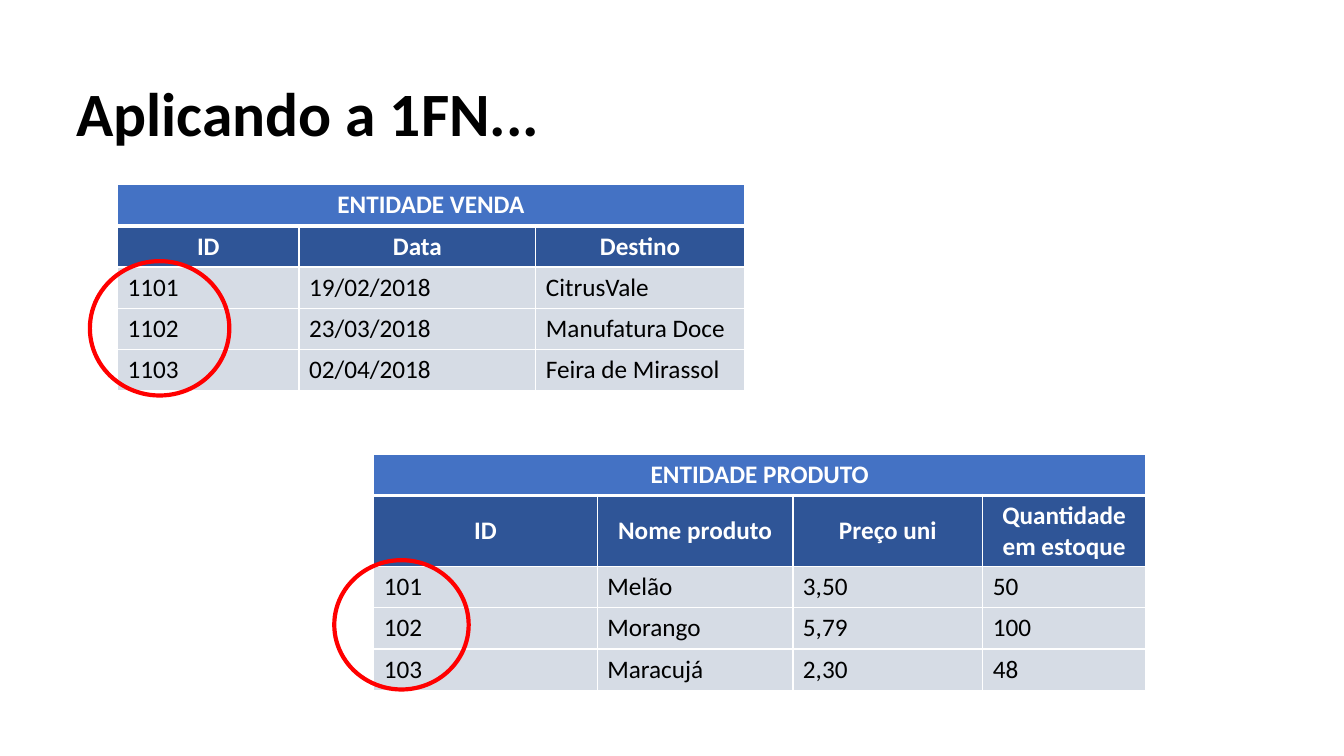
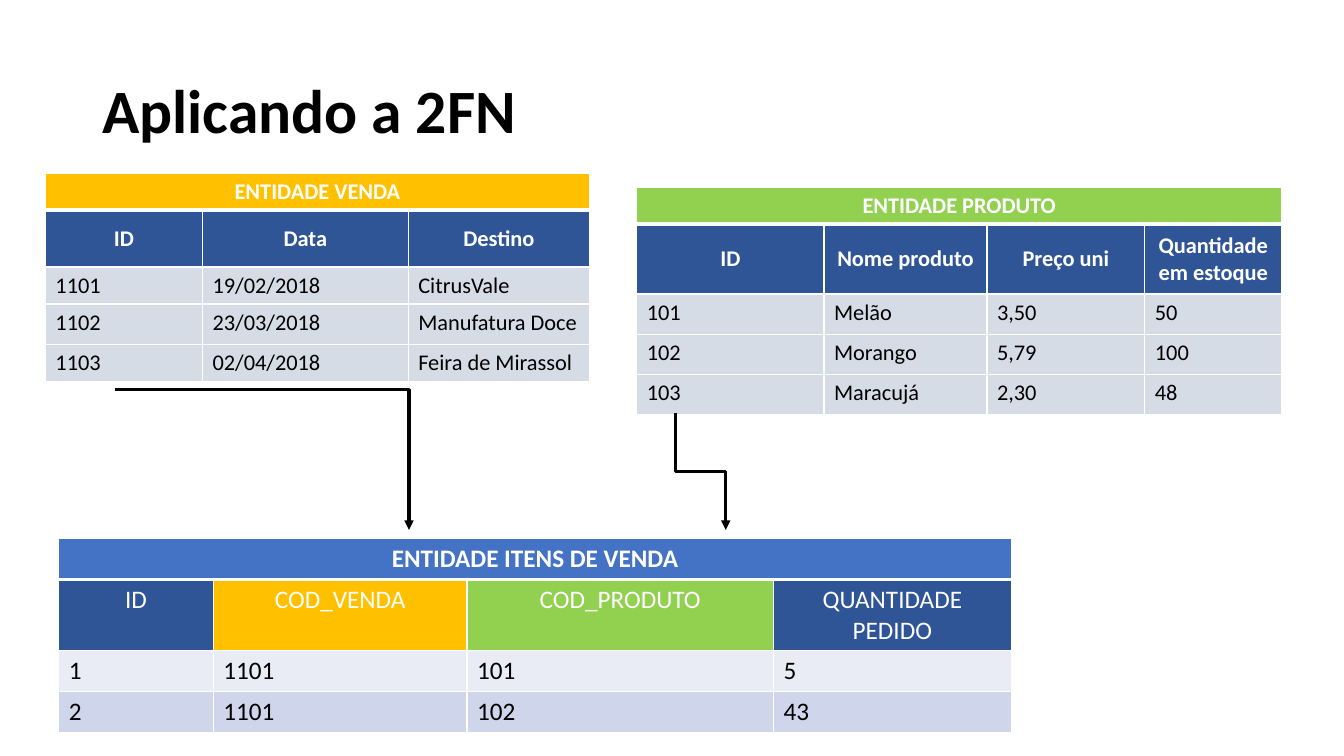
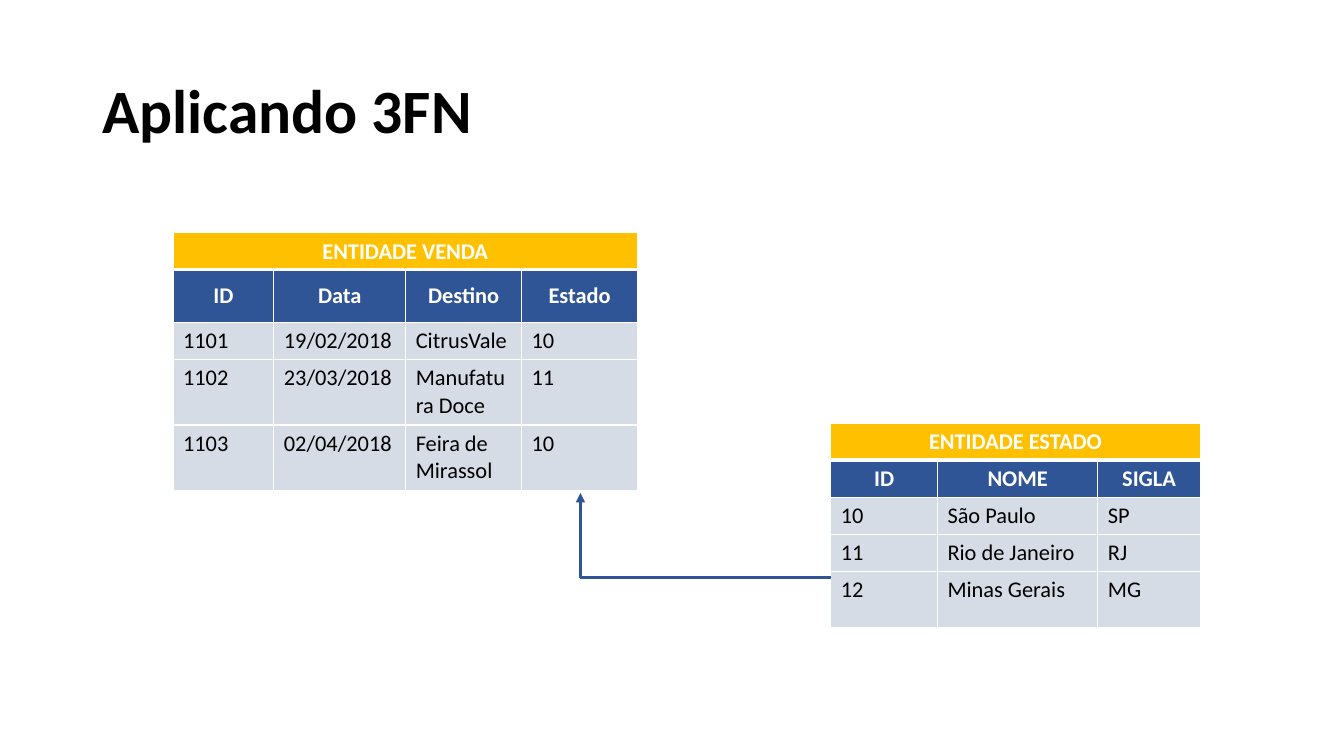
from lxml.etree import SubElement
from pptx import Presentation
from pptx.dml.color import RGBColor
from pptx.enum.shapes import MSO_CONNECTOR, MSO_SHAPE
from pptx.enum.text import MSO_ANCHOR, PP_ALIGN
from pptx.oxml.ns import qn
from pptx.util import Inches, Pt

SLIDE_WIDTH, SLIDE_HEIGHT = Inches(13.33), Inches(7.5)
GRID_COLUMNS = 16
UNIT = SLIDE_WIDTH / GRID_COLUMNS  # square grid: 16 columns by 9 rows
FONT = "Calibri"
COLORS = {
    "black": "000000",
    "white": "FFFFFF",
    "red": "FF0000",
    "blue": "4472C4",
    "navy": "2F5597",
    "yellow": "FFC000",
    "green": "92D050",
    "gray": "D6DCE5",
    "pale": "E9EBF5",
    "lavender": "CFD5EA",
}

SALE_HEADS = ["ID", "Data", "Destino"]
SALES = [
    ["1101", "19/02/2018", "CitrusVale"],
    ["1102", "23/03/2018", "Manufatura Doce"],
    ["1103", "02/04/2018", "Feira de Mirassol"],
]
SALE_STATES = ["10", "11", "10"]
PRODUCT_HEADS = ["ID", "Nome produto", "Preço uni", "Quantidade em estoque"]
PRODUCTS = [
    ["101", "Melão", "3,50", "50"],
    ["102", "Morango", "5,79", "100"],
    ["103", "Maracujá", "2,30", "48"],
]
ITEM_HEADS = ["ID", "COD_VENDA", "COD_PRODUTO", "QUANTIDADE PEDIDO"]
ITEMS = [["1", "1101", "101", "5"], ["2", "1101", "102", "43"]]
STATE_HEADS = ["ID", "NOME", "SIGLA"]
STATES = [
    ["10", "São Paulo", "SP"],
    ["11", "Rio de Janeiro", "RJ"],
    ["12", "Minas Gerais", "MG"],
]


def grid(*values):
    """Turn grid units into lengths."""
    return [round(value * UNIT) for value in values]


def rgb(name):
    """Look up a named colour."""
    return RGBColor.from_string(COLORS[name])


def style_text(paragraph, size, color, bold):
    """Format every run of a paragraph."""
    for run in paragraph.runs:
        run.font.name = FONT
        run.font.size = Pt(size)
        run.font.bold = bold
        run.font.color.rgb = rgb(color)


def add_titled_slide(presentation, title, left=1.1, top=0.48):
    """Add a blank slide with its title."""
    slide = presentation.slides.add_slide(presentation.slide_layouts[6])
    text_frame = slide.shapes.add_textbox(*grid(left, top, 13.8, 1.74)).text_frame
    text_frame.word_wrap = True
    text_frame.vertical_anchor = MSO_ANCHOR.MIDDLE
    text_frame.text = title
    paragraph = text_frame.paragraphs[0]
    paragraph.line_spacing = 0.9
    style_text(paragraph, 44, "black", True)
    return slide


def set_borders(cell, top, bottom):
    """Give a cell white borders, with top and bottom widths in points."""
    properties = cell._tc.get_or_add_tcPr()
    for side, width in (("L", 1), ("R", 1), ("T", top), ("B", bottom)):
        line = SubElement(properties, qn(f"a:ln{side}"), w=str(Pt(width)))
        fill = SubElement(line, qn("a:solidFill"))
        SubElement(fill, qn("a:srgbClr"), val=COLORS["white"])


def style_cell(cell, row, size, fill, bold):
    """Format a cell as entity name, column head or data, by its row."""
    set_borders(cell, 3 if row == 1 else 1, 3 if row == 0 else 1)
    cell.fill.solid()
    cell.fill.fore_color.rgb = rgb(fill)
    paragraph = cell.text_frame.paragraphs[0]
    if row < 2:
        paragraph.alignment = PP_ALIGN.CENTER
    style_text(paragraph, size, "white" if row < 2 else "black", bold)


def add_entity(slide, name, heads, records, position, widths, heights, size=16,
               name_fill="yellow", head_fills=None, bands=("gray",), plain_heads=False):
    """Add an entity table: merged name row, column heads, then records."""
    rows = [[name] + [""] * (len(heads) - 1), heads] + records
    head_fills = head_fills or ["navy"] * len(heads)
    frame = slide.shapes.add_table(
        len(rows), len(heads), *grid(*position, sum(widths), sum(heights)))
    table = frame.table
    table.first_row = table.horz_banding = False
    for column, width in zip(table.columns, grid(*widths)):
        column.width = width
    for table_row, height in zip(table.rows, grid(*heights)):
        table_row.height = height
    for row, texts in enumerate(rows):
        for column, text in enumerate(texts):
            cell = table.cell(row, column)
            cell.text_frame.text = text
            fill = (name_fill, head_fills[column])[row] if row < 2 else bands[row % len(bands)]
            style_cell(cell, row, size, fill, row == 0 or (row == 1 and not plain_heads))
            if row == 1 and not plain_heads:
                cell.vertical_anchor = MSO_ANCHOR.MIDDLE
    table.cell(0, 0).merge(table.cell(0, len(heads) - 1))


def add_key_ring(slide, *box):
    """Circle a key column in red."""
    ring = slide.shapes.add_shape(MSO_SHAPE.OVAL, *grid(*box))
    ring.shadow.inherit = False
    ring.fill.background()
    ring.line.color.rgb = rgb("red")
    ring.line.width = Pt(3)


def add_elbow_arrow(slide, start, end, color="black", bend=1, turn=0):
    """Add an elbow arrow; a turn of 270 makes it leave downwards."""
    center_x, center_y = (start[0] + end[0]) / 2, (start[1] + end[1]) / 2
    width, height = abs(end[0] - start[0]), abs(end[1] - start[1])
    if turn == 270:
        width, height = height, width
    left, top = center_x - width / 2, center_y - height / 2
    arrow = slide.shapes.add_connector(
        MSO_CONNECTOR.ELBOW, *grid(left, top, left + width, top + height))
    properties = arrow._element.spPr
    transform = properties.find(qn("a:xfrm"))
    if turn:
        transform.set("rot", str(turn * 60000))
    if turn == 270:
        transform.set("flipH", "1")
    guides = properties.find(qn("a:prstGeom")).get_or_add_avLst()
    SubElement(guides, qn("a:gd"), name="adj1", fmla=f"val {round(bend * 100000)}")
    arrow.line.color.rgb = rgb(color)
    arrow.line.width = Pt(2.25)
    SubElement(properties.find(qn("a:ln")), qn("a:tailEnd"), type="triangle")
    SubElement(properties, qn("a:effectLst"))


def build_first_form(presentation):
    """Sales and products, with their keys circled."""
    slide = add_titled_slide(presentation, "Aplicando a 1FN...", 0.79, 0.52)
    add_entity(slide, "ENTIDADE VENDA", SALE_HEADS, SALES, (1.4, 2.2),
               [2.16, 2.82, 2.48], [0.49] * 5, size=18, name_fill="blue")
    add_entity(slide, "ENTIDADE PRODUTO", PRODUCT_HEADS, PRODUCTS, (4.45, 5.41),
               [2.66, 2.33, 2.26, 1.94], [0.49, 0.85] + [0.49] * 3,
               size=18, name_fill="blue")
    add_key_ring(slide, 1.07, 3.11, 1.66, 1.6)
    add_key_ring(slide, 3.98, 6.67, 1.6, 1.54)


def build_second_form(presentation):
    """Sales and products, both feeding the sale items."""
    slide = add_titled_slide(presentation, "Aplicando a 2FN")
    add_entity(slide, "ENTIDADE VENDA", SALE_HEADS, SALES, (0.54, 2.06),
               [1.87, 2.45, 2.16], [0.44, 0.68, 0.44, 0.48, 0.44])
    add_entity(slide, "ENTIDADE PRODUTO", PRODUCT_HEADS, PRODUCTS, (7.58, 2.23),
               [2.23, 1.94, 1.88, 1.63], [0.44, 0.83] + [0.48] * 3, name_fill="green")
    add_entity(slide, "ENTIDADE ITENS DE VENDA", ITEM_HEADS, ITEMS, (0.7, 6.41),
               [1.84, 3.02, 3.65, 2.83], [0.49, 0.85, 0.49, 0.49],
               size=18, name_fill="blue", head_fills=["navy", "yellow", "green", "navy"],
               bands=("pale", "lavender"), plain_heads=True)
    add_elbow_arrow(slide, (8.04, 4.92), (8.64, 6.31), bend=0.5, turn=270)
    add_elbow_arrow(slide, (1.37, 4.64), (4.87, 6.31))


def build_third_form(presentation):
    """Sales, with the state moved to its own entity."""
    slide = add_titled_slide(presentation, "Aplicando 3FN")
    sales = [sale + [state] for sale, state in zip(SALES, SALE_STATES)]
    add_entity(slide, "ENTIDADE VENDA", SALE_HEADS + ["Estado"], sales, (2.06, 2.77),
               [1.2, 1.57, 1.38, 1.38], [0.44, 0.63, 0.44, 0.78, 0.78])
    add_entity(slide, "ENTIDADE ESTADO", STATE_HEADS, STATES, (9.89, 5.04),
               [1.27, 1.91, 1.22], [0.44] * 4 + [0.67])
    add_elbow_arrow(slide, (9.89, 6.88), (6.91, 5.87), "navy", turn=180)


def main():
    """Build and save the presentation."""
    presentation = Presentation()
    presentation.slide_width, presentation.slide_height = SLIDE_WIDTH, SLIDE_HEIGHT
    build_first_form(presentation)
    build_second_form(presentation)
    build_third_form(presentation)
    presentation.save("out.pptx")


main()
